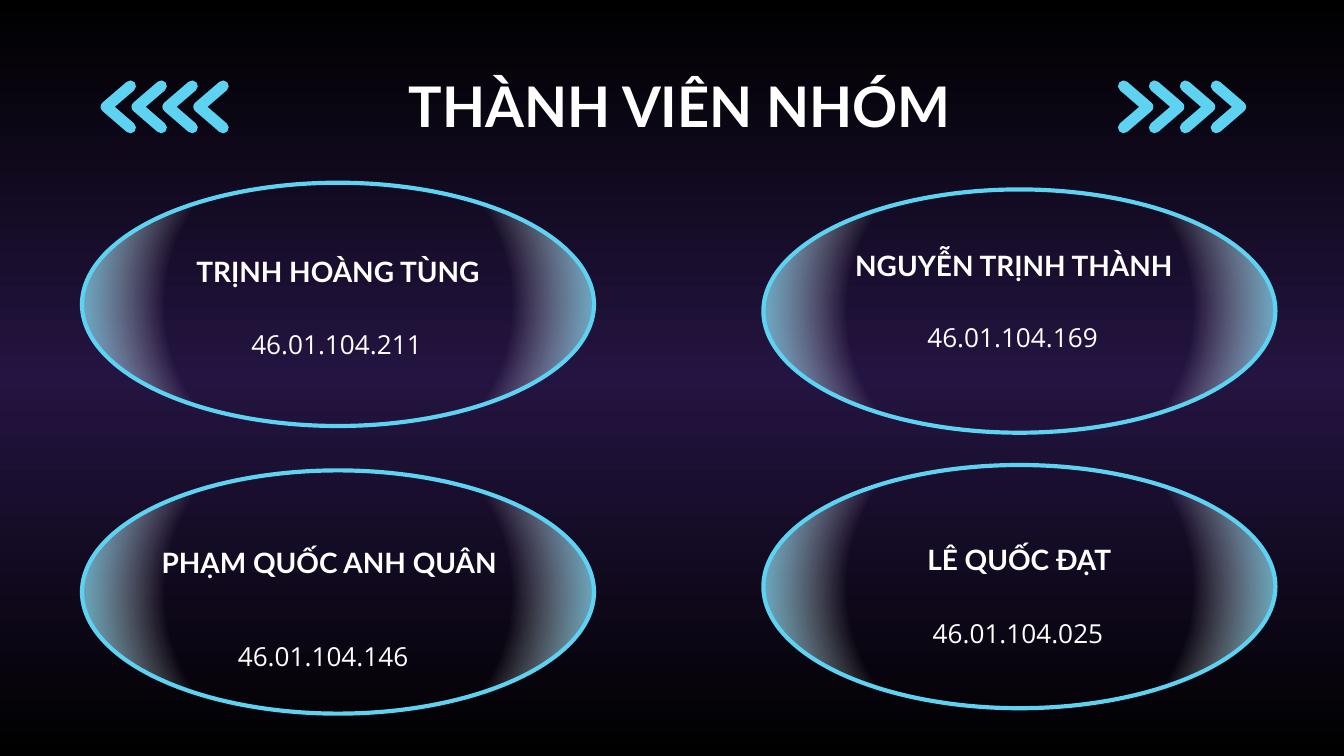
from dataclasses import dataclass

from lxml import etree
from pptx import Presentation
from pptx.dml.color import RGBColor
from pptx.enum.shapes import MSO_SHAPE
from pptx.enum.text import MSO_ANCHOR, MSO_AUTO_SIZE, PP_ALIGN
from pptx.oxml.ns import qn
from pptx.util import Inches, Pt

ELLIPSE = MSO_SHAPE.OVAL
CENTER = PP_ALIGN.CENTER
MIDDLE = MSO_ANCHOR.MIDDLE
FIXED_SIZE = MSO_AUTO_SIZE.NONE
TWO_CONTENT_LAYOUT = 3


@dataclass(frozen=True)
class Style:
    font: str
    size: float
    bold: bool = False
    margin: float = 0
    indent: float = 0


@dataclass(frozen=True)
class Theme:
    white: str = "FFFFFF"
    black: str = "000000"
    violet: str = "241441"
    cyan: str = "5ED2F1"
    title: Style = Style("Lato", 30, bold=True)
    name: Style = Style("Lato", 15, bold=True)
    student_id: Style = Style("Open Sans", 14, margin=0.5, indent=-0.36)
    chevron_line: float = 6
    ellipse_line: float = 2.25


THEME = Theme()

SLIDE_WIDTH = Inches(10)
SLIDE_HEIGHT = SLIDE_WIDTH * 9 // 16
CHEVRON_COUNT = 4
CHEVRON_STEP = 0.23
CHEVRON_WIDTH = 0.18
CHEVRON_TOP = 0.64
CHEVRON_HEIGHT = 0.31
ELLIPSE_SIZE = (3.81, 1.81)

MEMBERS = [
    ("TRỊNH HOÀNG TÙNG", (1.18, 1.72, 2.67, 0.59),
     "46.01.104.211", (1.15, 2.04, 2.57, 1.04), (0.61, 1.36)),
    ("NGUYỄN TRỊNH THÀNH", (6.21, 1.68, 2.67, 0.59),
     "46.01.104.169", (6.18, 1.99, 2.57, 1.04), (5.68, 1.41)),
    ("PHẠM QUỐC ANH QUÂN", (0.96, 3.89, 2.98, 0.59),
     "46.01.104.146", (1.05, 4.47, 2.57, 0.82), (0.61, 3.5)),
    ("LÊ QUỐC ĐẠT", (6.25, 3.87, 2.67, 0.59),
     "46.01.104.025", (6.22, 4.19, 2.57, 1.04), (5.68, 3.46)),
]


def inches(values):
    return [Inches(value) for value in values]


def reset_gradient(gradient, stops):
    for child in list(gradient):
        gradient.remove(child)
    stop_list = etree.SubElement(gradient, qn("a:gsLst"))
    for percent, color, alpha in stops:
        stop = etree.SubElement(stop_list, qn("a:gs"), pos=str(percent * 1000))
        tint = etree.SubElement(stop, qn("a:srgbClr"), val=color)
        if alpha < 100:
            etree.SubElement(tint, qn("a:alpha"), val=str(alpha * 1000))


def paint_background(slide):
    slide.background.fill.gradient()
    gradient = next(slide.element.iter(qn("a:gradFill")))
    reset_gradient(gradient, [(0, THEME.black, 100), (50, THEME.violet, 100),
                              (100, THEME.black, 100)])
    etree.SubElement(gradient, qn("a:lin"), ang="5400000", scaled="0")


def set_outline(shape, width):
    shape.shadow.inherit = False
    shape.line.color.rgb = RGBColor.from_string(THEME.cyan)
    shape.line.width = Pt(width)


def add_glowing_ellipse(slide, corner):
    ellipse = slide.shapes.add_shape(ELLIPSE, *inches(corner + ELLIPSE_SIZE))
    ellipse.fill.gradient()
    gradient = next(ellipse.element.iter(qn("a:gradFill")))
    reset_gradient(gradient, [(0, THEME.white, 0), (61, THEME.white, 0),
                              (100, THEME.cyan, 100)])
    glow = etree.SubElement(gradient, qn("a:path"), path="circle")
    etree.SubElement(glow, qn("a:fillToRect"),
                     l="50000", t="50000", r="50000", b="50000")
    set_outline(ellipse, THEME.ellipse_line)


def add_chevrons(slide, left, points_right):
    chevrons = slide.shapes.add_group_shape()
    for index in range(CHEVRON_COUNT):
        start = left + index * CHEVRON_STEP
        end = start + CHEVRON_WIDTH
        tail, tip = (start, end) if points_right else (end, start)
        builder = chevrons.shapes.build_freeform(
            Inches(tail), Inches(CHEVRON_TOP + CHEVRON_HEIGHT))
        builder.add_line_segments(
            [inches((tip, CHEVRON_TOP + CHEVRON_HEIGHT / 2)),
             inches((tail, CHEVRON_TOP))], close=False)
        chevron = builder.convert_to_shape()
        chevron.fill.background()
        set_outline(chevron, THEME.chevron_line)
        outline = next(chevron.element.iter(qn("a:ln")))
        outline.set("cap", "rnd")
        etree.SubElement(outline, qn("a:round"))


def write_text(holder, box, text, style):
    holder.left, holder.top, holder.width, holder.height = inches(box)
    frame = holder.text_frame
    frame.word_wrap = True
    frame.auto_size = FIXED_SIZE
    frame.vertical_anchor = MIDDLE
    frame.margin_left = frame.margin_right = Inches(0.1)
    frame.margin_top = frame.margin_bottom = Inches(0.1)
    paragraph = frame.paragraphs[0]
    properties = paragraph._p.get_or_add_pPr()
    properties.set("marL", str(Inches(style.margin)))
    properties.set("indent", str(Inches(style.indent)))
    etree.SubElement(properties, qn("a:buNone"))
    paragraph.alignment = CENTER
    paragraph.space_before = Pt(0)
    run = paragraph.add_run()
    run.text = text
    run.font.name = style.font
    run.font.size = Pt(style.size)
    run.font.bold = style.bold
    run.font.color.rgb = RGBColor.from_string(THEME.white)


def add_member(slide, member, holders):
    name, name_box, student_id, id_box, corner = member
    name_holder, id_holder = holders or [
        slide.shapes.add_textbox(*inches(box)) for box in (name_box, id_box)]
    add_glowing_ellipse(slide, corner)
    write_text(name_holder, name_box, name, THEME.name)
    write_text(id_holder, id_box, student_id, THEME.student_id)


def main():
    deck = Presentation()
    deck.slide_width, deck.slide_height = SLIDE_WIDTH, SLIDE_HEIGHT
    slide = deck.slides.add_slide(deck.slide_layouts[TWO_CONTENT_LAYOUT])
    paint_background(slide)
    title, *first_holders = slide.placeholders
    write_text(title, (2.78, 0.52, 4.56, 0.52), "THÀNH VIÊN NHÓM", THEME.title)
    add_chevrons(slide, 8.36, points_right=True)
    add_chevrons(slide, 0.79, points_right=False)
    for index, member in enumerate(MEMBERS):
        add_member(slide, member, first_holders if index == 0 else None)
    deck.save("out.pptx")


if __name__ == "__main__":
    main()
